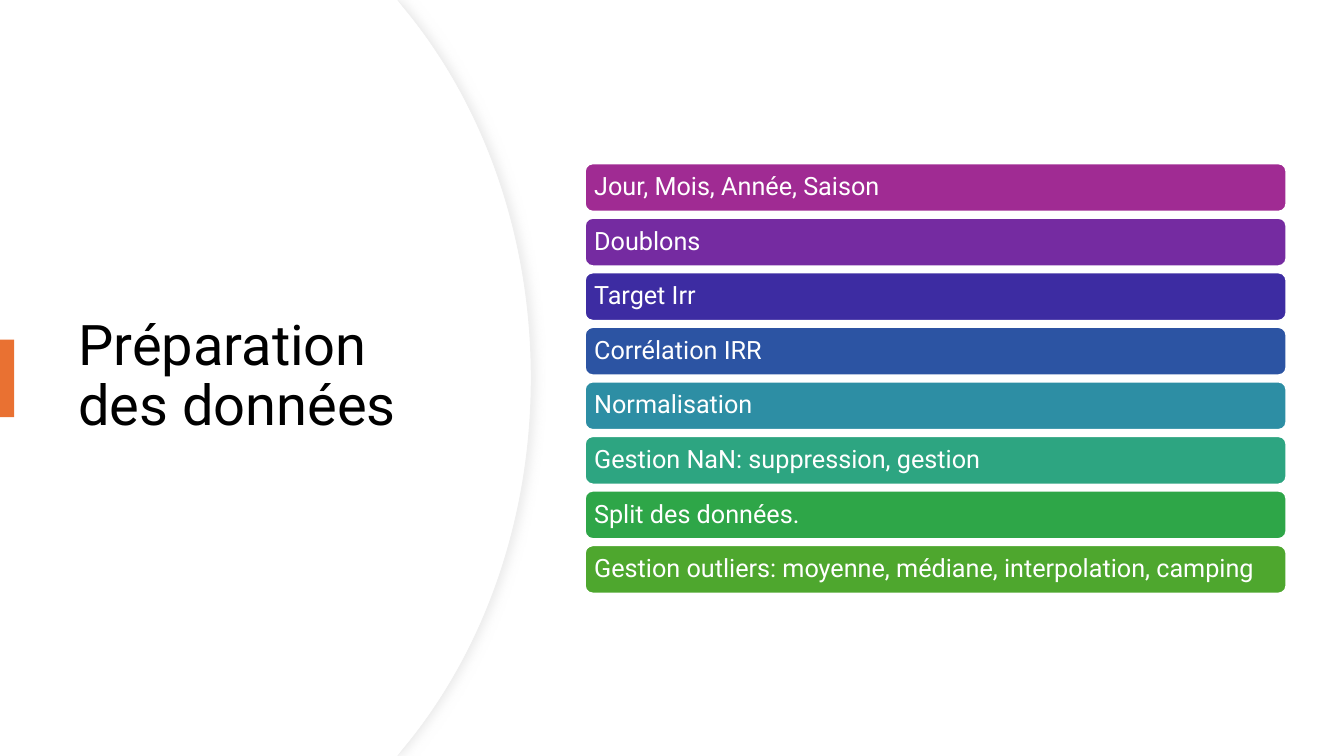
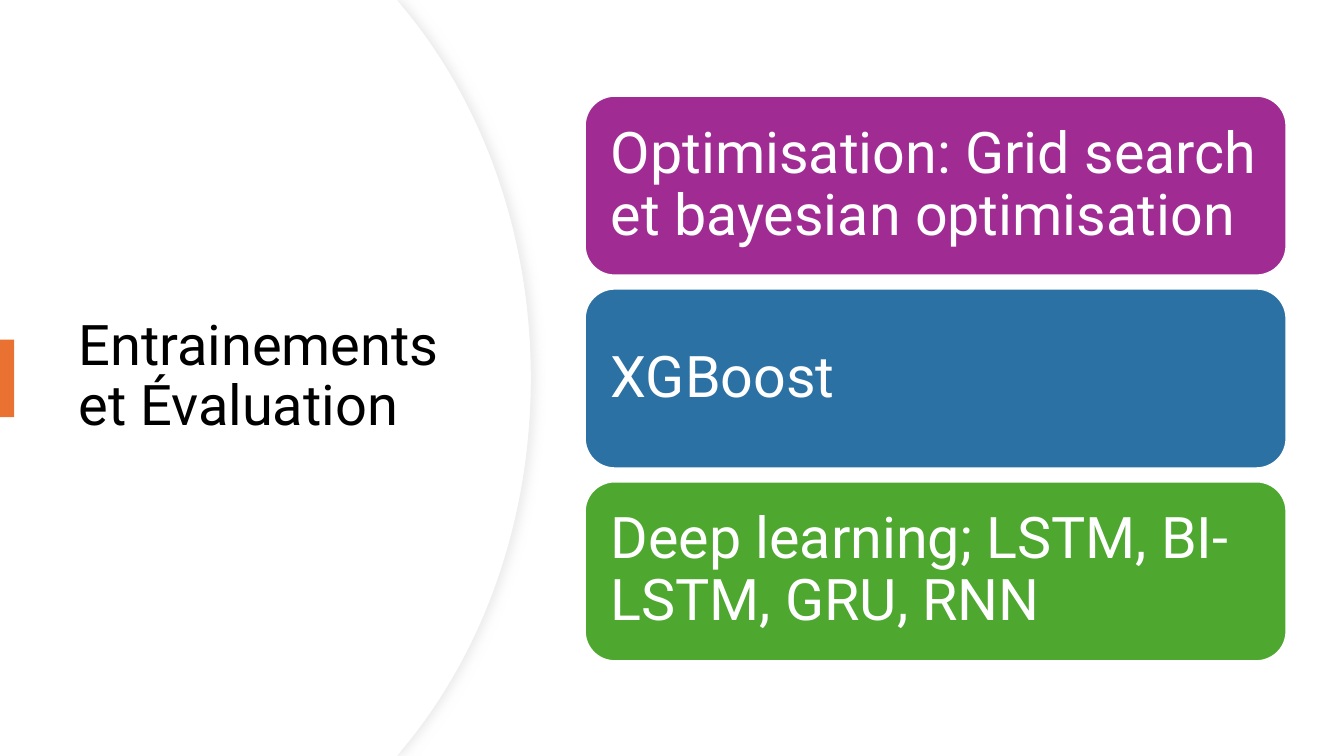
from lxml.etree import SubElement
from pptx import Presentation
from pptx.dml.color import RGBColor
from pptx.enum.shapes import MSO_SHAPE as Shape
from pptx.enum.text import MSO_ANCHOR as Anchor, PP_ALIGN as Align
from pptx.oxml.ns import qn
from pptx.util import Inches, Pt

WIDE, HIGH = 13.33, 7.5
MID = HIGH / 2
FONT = "Roboto"
WHITE, BLACK, ACCENT = "FFFFFF", "000000", "E97132"
RIM, SHADE = "EFEFEF", "D9D9D9"

STEPS = [
    ("Jour, Mois, Année, Saison", "A02B93"),
    ("Doublons", "752BA1"),
    ("Target Irr", "3D2CA2"),
    ("Corrélation IRR", "2C54A3"),
    ("Normalisation", "2D8EA4"),
    ("Gestion NaN: suppression, gestion", "2DA581"),
    ("Split des données.", "2EA648"),
    ("Gestion outliers: moyenne, médiane, interpolation, camping", "4EA72E"),
]
MODELS = [
    ("Optimisation: Grid search et bayesian optimisation", "A02B93"),
    ("XGBoost", "2C71A4"),
    ("Deep learning; LSTM, BI-LSTM, GRU, RNN", "4EA72E"),
]


def rgb(code):
    return RGBColor.from_string(code)


def paint(shape, fill, line=None, width=0.75):
    shape.shadow.inherit = False
    shape.fill.solid()
    shape.fill.fore_color.rgb = rgb(fill)
    if line:
        shape.line.color.rgb = rgb(line)
        shape.line.width = Pt(width)
    else:
        shape.line.fill.background()


def write(shape, text, size, color, pad_x, pad_y):
    frame = shape.text_frame
    frame.word_wrap = True
    frame.vertical_anchor = Anchor.MIDDLE
    frame.margin_left = frame.margin_right = Inches(pad_x)
    frame.margin_top = frame.margin_bottom = Inches(pad_y)
    frame.text = text
    para = frame.paragraphs[0]
    para.alignment = Align.LEFT
    para.line_spacing = 0.9
    font = para.runs[0].font
    font.name, font.size = FONT, Pt(size)
    font.color.rgb = rgb(color)


def cast(shape):
    """Give the shape a soft shadow to its right."""
    effects = shape.element.spPr.find(qn("a:effectLst"))
    outer = SubElement(effects, qn("a:outerShdw"), blurRad=str(Pt(7)),
                       dist=str(Pt(3)), dir="0", algn="l", rotWithShape="0")
    color = SubElement(outer, qn("a:srgbClr"), val=SHADE)
    SubElement(color, qn("a:alpha"), val="50000")


def bend(line, pulls):
    """Turn a straight segment into a cubic curve with two control points."""
    line.tag = qn("a:cubicBezTo")
    for spot, (x, y) in enumerate(pulls):
        point = line.makeelement(qn("a:pt"), x=str(Inches(x)), y=str(Inches(y)))
        line.insert(spot, point)


def add_dome(slide, right):
    """White panel from the left edge, bulging out to the right."""
    near, far = right - 1.26, right - 0.48
    points = [(3.94, 0), (near, 0.08), (right, MID), (near, HIGH - 0.08),
              (3.94, HIGH), (0, HIGH)]
    pen = slide.shapes.build_freeform(0, 0)
    pen.add_line_segments([(Inches(x), Inches(y)) for x, y in points], close=True)
    dome = pen.convert_to_shape()
    lines = list(dome.element.iter(qn("a:lnTo")))
    bend(lines[2], [(far, 1.02), (right, 2.32)])
    bend(lines[3], [(right, HIGH - 2.32), (far, HIGH - 1.02)])
    return dome


def add_side(slide, title):
    rim = add_dome(slide, 5.27)
    paint(rim, WHITE, RIM)
    cast(rim)
    paint(add_dome(slide, 5.26), WHITE)
    box = slide.shapes.add_textbox(Inches(0.68), Inches(1.27), Inches(3.94), Inches(4.95))
    write(box, title, 40, BLACK, 0.1, 0.05)
    mark = slide.shapes.add_shape(Shape.RECTANGLE, 0, Inches(3.37), Inches(0.14), Inches(0.77))
    paint(mark, ACCENT)


def add_bars(slide, items, box, gap, size, pad):
    """Stack of equal bars that fills the box."""
    left, top, width, full = box
    pitch = (full + gap) / len(items)
    for row, (text, color) in enumerate(items):
        bar = slide.shapes.add_shape(Shape.ROUNDED_RECTANGLE, Inches(left),
                                     Inches(top + row * pitch), Inches(width),
                                     Inches(pitch - gap))
        paint(bar, color, WHITE, 1.5)
        write(bar, text, size, WHITE, pad, pad)


def add_page(deck, title, items, **style):
    slide = deck.slides.add_slide(deck.slide_layouts[6])
    add_side(slide, title)
    add_bars(slide, items, **style)


def main():
    deck = Presentation()
    deck.slide_width, deck.slide_height = Inches(WIDE), Inches(HIGH)
    add_page(deck, "Préparation des données", STEPS,
             box=(5.8, 1.62, 6.96, 4.27), gap=0.06, size=18, pad=0.07)
    add_page(deck, "Entrainements et Évaluation", MODELS,
             box=(5.8, 0.95, 6.96, 5.61), gap=0.13, size=41, pad=0.17)
    deck.save("out.pptx")


if __name__ == "__main__":
    main()
